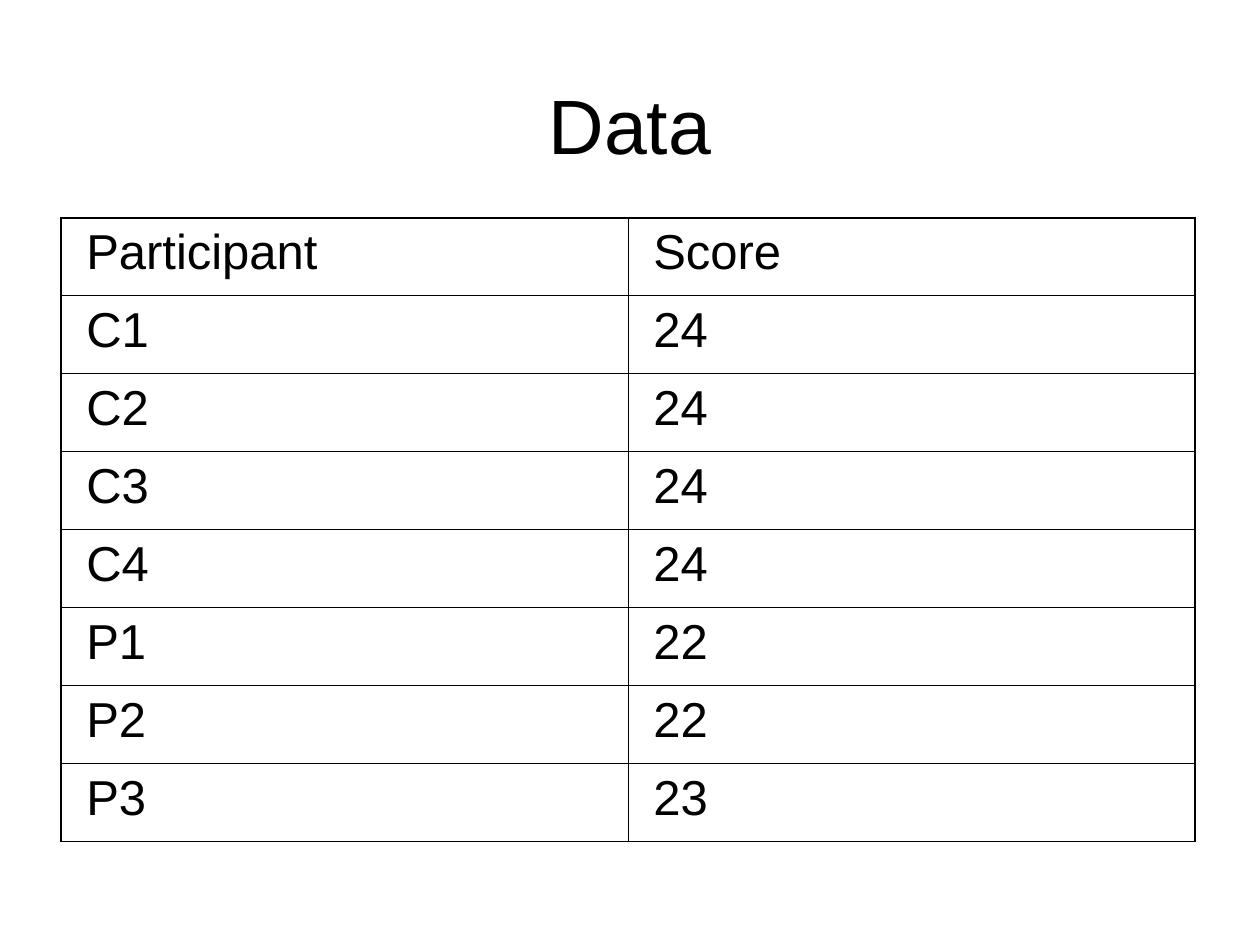
from lxml.etree import SubElement
from pptx import Presentation
from pptx.dml.color import RGBColor
from pptx.enum.text import MSO_ANCHOR as Anchor, MSO_AUTO_SIZE as AutoSize, PP_ALIGN as Align
from pptx.oxml.ns import qn
from pptx.util import Cm, Pt

COLORS = {"text": "000000", "border": "000000"}
FONT = "Arial"
OUTER, INNER = Pt(1.08), Pt(0.45)
SCORES = [
    ("Participant", "Score"),
    ("C1", "24"),
    ("C2", "24"),
    ("C3", "24"),
    ("C4", "24"),
    ("P1", "22"),
    ("P2", "22"),
    ("P3", "23"),
]


def add_run(paragraph, text, size):
    run = paragraph.add_run()
    run.text = text
    run.font.name = FONT
    run.font.size = Pt(size)
    run.font.bold = False
    run.font.color.rgb = RGBColor.from_string(COLORS["text"])


def set_border(cell, side, width):
    """Draw one side of a cell; side is L, R, T or B."""
    line = SubElement(cell._tc.get_or_add_tcPr(), qn(f"a:ln{side}"), w=str(width))
    fill = SubElement(line, qn("a:solidFill"))
    SubElement(fill, qn("a:srgbClr"), val=COLORS["border"])


def place_title(slide, text, left, top, width, height):
    title = slide.shapes.title
    title.left, title.top, title.width, title.height = left, top, width, height
    frame = title.text_frame
    frame.auto_size = AutoSize.NONE
    frame.word_wrap = False
    frame.vertical_anchor = Anchor.TOP
    frame.margin_left = frame.margin_right = frame.margin_bottom = 0
    frame.margin_top = Cm(0.2)
    heading = frame.paragraphs[0]
    heading.alignment = Align.CENTER
    add_run(heading, text, 44)


def place_scores(slide, rows, left, top, width, height):
    last_row, last_col = len(rows) - 1, len(rows[0]) - 1
    table = slide.shapes.add_table(
        len(rows), len(rows[0]), left, top, width, height
    ).table
    table.first_row = table.horz_banding = False
    for r, row in enumerate(rows):
        for c, text in enumerate(row):
            cell = table.cell(r, c)
            cell.margin_left = Cm(0.51)
            cell.margin_top = Cm(0.15)
            cell.margin_bottom = 0
            cell.vertical_anchor = Anchor.TOP
            add_run(cell.text_frame.paragraphs[0], text, 28)
            edges = {"L": c == 0, "R": c == last_col, "T": r == 0, "B": r == last_row}
            for side, is_outer in edges.items():
                set_border(cell, side, OUTER if is_outer else INNER)
            cell.fill.background()


def main():
    deck = Presentation()
    deck.slide_width, deck.slide_height = Cm(25.4), Cm(19.05)
    slide = deck.slides.add_slide(deck.slide_layouts[5])
    place_title(slide, "Data", Cm(11.02), Cm(1.37), Cm(3.36), Cm(1.93))
    place_scores(slide, SCORES, Cm(1.23), Cm(4.39), Cm(22.86), Cm(12.58))
    deck.save("out.pptx")


if __name__ == "__main__":
    main()
